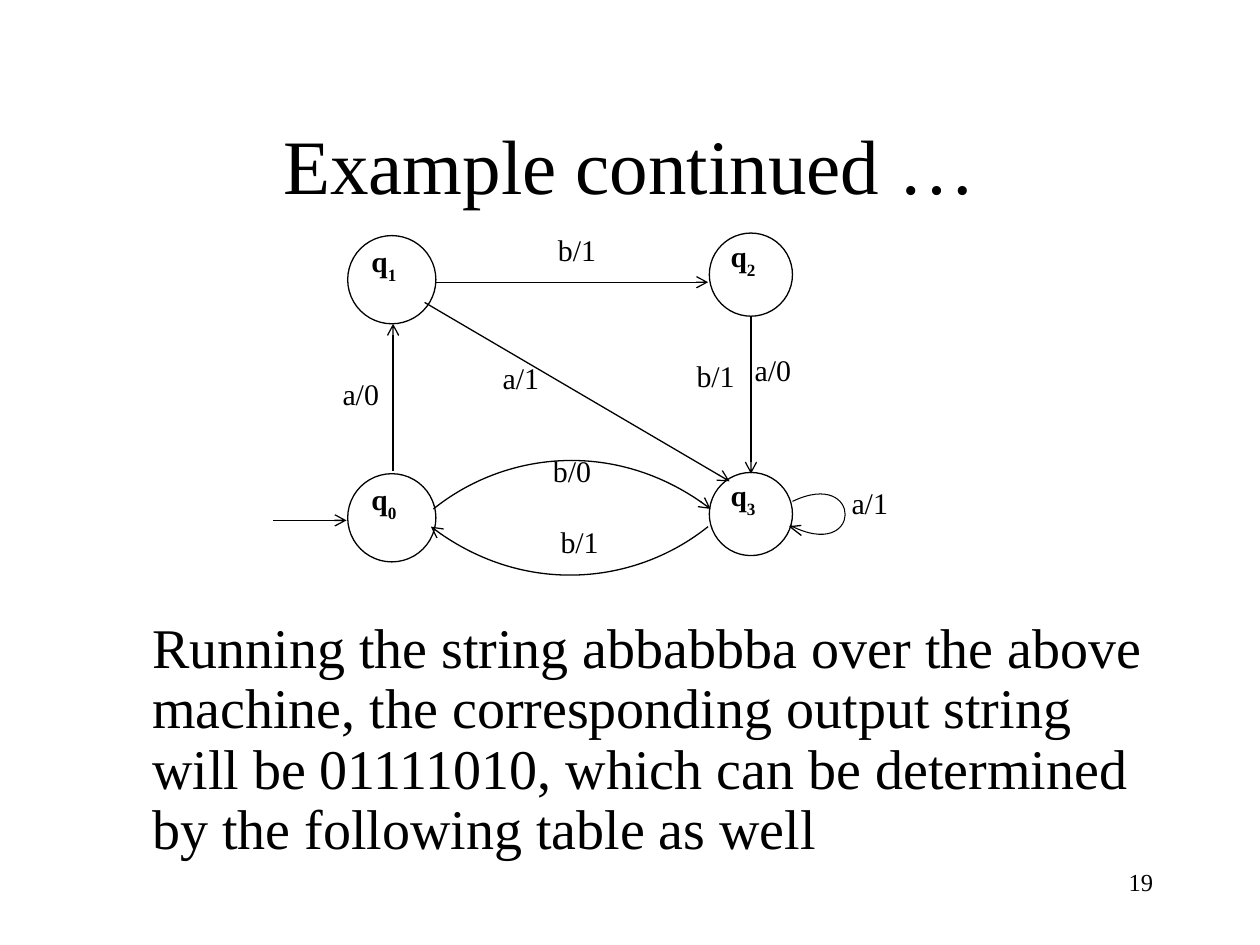
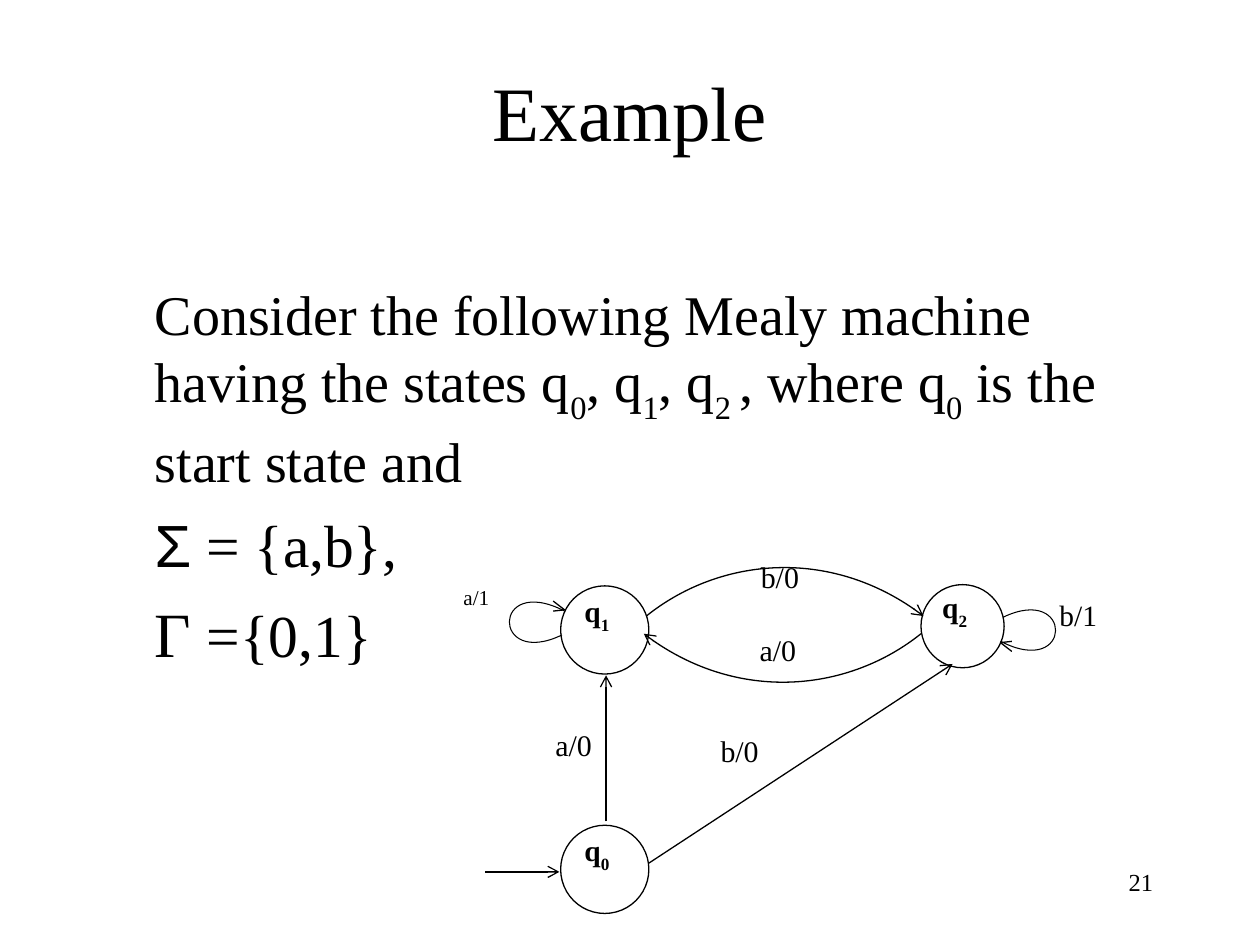
from lxml import etree
from pptx import Presentation
from pptx.dml.color import RGBColor
from pptx.enum.shapes import MSO_CONNECTOR, MSO_SHAPE
from pptx.enum.text import MSO_ANCHOR, PP_ALIGN
from pptx.oxml.ns import qn
from pptx.util import Inches, Pt

LINE, OVAL = MSO_CONNECTOR.STRAIGHT, MSO_SHAPE.OVAL
LEFT, MID, RIGHT = PP_ALIGN.LEFT, PP_ALIGN.CENTER, PP_ALIGN.RIGHT
TOP, CENTRE = MSO_ANCHOR.TOP, MSO_ANCHOR.MIDDLE
SERIF, SANS = "Times New Roman", "Arial"
INK, PAPER = "000000", "FFFFFF"
COLS, ROWS = 10, 7.5
CELL = Inches(1)
BIG, SMALL = 0.7, 0.66
SUB = {"sub": True}


def grid(*cells):
    """Turn columns or rows of the slide grid into lengths."""
    return [round(n * CELL) for n in cells]


def hue(code):
    return RGBColor.from_string(code)


def text(slide, box, paras, size=32, font=SERIF, bold=False, align=LEFT,
         anchor=TOP, space=1.0, indent=0, gap=0):
    """Write paragraphs; each is a string or a list of (words, format) runs."""
    frame = slide.shapes.add_textbox(*grid(*box)).text_frame
    frame.word_wrap = True
    frame.vertical_anchor = anchor
    for i, runs in enumerate(paras):
        para = frame.add_paragraph() if i else frame.paragraphs[0]
        para.alignment, para.line_spacing = align, space
        if i:
            para.space_before = Pt(gap)
        if indent:
            para._p.get_or_add_pPr().set("marL", str(grid(indent)[0]))
        for words, form in [(runs, {})] if isinstance(runs, str) else runs:
            run = para.add_run()
            run.text = words
            run.font.size = Pt(form.get("size", size))
            run.font.name = form.get("font", font)
            run.font.bold = bold
            run.font.color.rgb = hue(INK)
            if form.get("sub"):
                run._r.get_or_add_rPr().set("baseline", "-30000")


def stroke(shape, width=0.75, arrow=False):
    shape.line.color.rgb = hue(INK)
    shape.line.width = Pt(width)
    if arrow:
        etree.SubElement(shape.line._get_or_add_ln(), qn("a:tailEnd"), type="arrow")


def trace(slide, start, steps, bend=False, **form):
    """Draw an open outline; steps are offsets from start, bend makes one Bezier."""
    x, y = start
    pen = slide.shapes.build_freeform(*grid(x, y))
    pen.add_line_segments([grid(x + dx, y + dy) for dx, dy in steps], close=False)
    shape = pen.convert_to_shape()
    shape.shadow.inherit = False
    shape.fill.background()
    stroke(shape, **form)
    if bend:
        route = next(shape._element.iter(qn("a:moveTo"))).getparent()
        curve = etree.SubElement(route, qn("a:cubicBezTo"))
        for part in route.findall(qn("a:lnTo")):
            curve.append(part[0])
            route.remove(part)


def state(slide, x, y, size, index):
    """Draw a circle centred at x, y and name it."""
    ring = slide.shapes.add_shape(OVAL, *grid(x - size / 2, y - size / 2, size, size))
    ring.shadow.inherit = False
    ring.fill.solid()
    ring.fill.fore_color.rgb = hue(PAPER)
    stroke(ring)
    text(slide, (x - 0.26, y - 0.32, 0.96, 0.45), [[("q", {}), (index, SUB)]],
         size=16.8, bold=True, space=0.8)


def arrow(slide, x1, y1, x2, y2):
    edge = slide.shapes.add_connector(LINE, *grid(x1, y1, x2, y2))
    stroke(edge, arrow=True)
    etree.SubElement(edge._element.spPr, qn("a:effectLst"))


def arcs(slide, x, y):
    """Draw the two bowed arrows that join a pair of states in both directions."""
    bow = [(0.56, -0.45), (1.47, -0.56), (2.2, 0)]
    trace(slide, (x, y), bow, bend=True, arrow=True)
    trace(slide, (x + 2.18, y + 0.14), [(-dx, -dy) for dx, dy in bow],
          bend=True, arrow=True)


def loop(slide, x, y, side=1):
    """Draw a self-loop and its barbs; side -1 turns it to the left."""
    def turn(*pairs):
        return [(side * dx, side * dy) for dx, dy in pairs]

    trace(slide, (x, y), turn((0.56, -0.27), (0.56, 0.49), (-0.02, 0.19)),
          bend=True, width=0.6)
    trace(slide, (x + side * 0.07, y + side * 0.27), turn((-0.09, -0.07), (0, -0.08)))


def label(slide, x, y, words, size=17.1):
    text(slide, (x, y, 1.01, 0.41), [words], size=size, space=0.8)


def page(deck, title, top, number):
    slide = deck.slides.add_slide(deck.slide_layouts[6])
    text(slide, (0.75, top, 8.5, 1.25), [title], size=44, align=MID, anchor=CENTRE)
    text(slide, (7.17, 6.83, 2.08, 0.5), [number], size=14, align=RIGHT)
    return slide


def draw(slide, states, edges, labels):
    for spot in states:
        state(slide, *spot)
    for edge in edges:
        arrow(slide, *edge)
    for mark in labels:
        label(slide, *mark)


def run_page(deck):
    slide = page(deck, "Example continued …", 0.67, "19")
    text(slide, (0.73, 4.87, 8.5, 2.1), [
        "Running the string abbabbba over the above machine, the corresponding "
        "output string will be 01111010, which can be determined by the "
        "following table as well"], space=0.9, indent=0.38)
    left, right = 3.11, 5.96
    draw(slide,
         [(left, 4.11, BIG, "0"), (left, 2.22, BIG, "1"),
          (right, 2.18, SMALL, "2"), (right, 4.08, SMALL, "3")],
         [(2.17, 4.13, 2.75, 4.13), (3.12, 3.74, 3.12, 2.57),
          (3.46, 2.24, 5.62, 2.24), (right, 2.51, right, 3.76),
          (3.37, 2.4, 5.79, 3.82)],
         [(2.62, 2.99, "a/0"), (4.33, 1.84, "b/1"), (3.89, 2.86, "a/1"),
          (5.43, 2.84, "b/1"), (5.89, 2.8, "a/0"), (4.29, 3.6, "b/0"),
          (4.35, 4.16, "b/1"), (6.66, 3.85, "a/1")])
    arcs(slide, 3.44, 4.04)
    loop(slide, 6.29, 3.98)


def mealy_page(deck):
    slide = page(deck, "Example", 0.25, "21")
    text(slide, (0.75, 2.17, 8.5, 4.5), [
        [("Consider the following Mealy machine having the states q", {}),
         ("0", SUB), (", q", {}), ("1", SUB), (", q", {}), ("2 ", SUB),
         (", where q", {}), ("0", SUB), (" is the start state and", {})],
        [("Σ", {"size": 34, "font": SANS}), (" = {a,b},", {"size": 34})],
        [("Γ ", {"size": 36}), ("={0,1}", {"size": 34})],
    ], indent=0.38, gap=8.5)
    left, right = 4.8, 7.64
    draw(slide,
         [(left, 6.9, BIG, "0"), (left, 5, BIG, "1"), (right, 4.97, SMALL, "2")],
         [(3.85, 6.92, 4.44, 6.92), (4.81, 6.52, 4.81, 5.36),
          (5.15, 6.85, 7.56, 5.27)],
         [(4.31, 5.77, "a/0"), (5.62, 5.82, "b/0"), (5.94, 4.44, "b/0"),
          (5.93, 5.02, "a/0"), (8.31, 4.74, "b/1", 16.8), (3.58, 4.63, "a/1", 12.1)])
    arcs(slide, 5.13, 4.89)
    loop(slide, 7.96, 4.9)
    loop(slide, 4.46, 5.04, side=-1)


def main():
    deck = Presentation()
    deck.slide_width, deck.slide_height = grid(COLS, ROWS)
    run_page(deck)
    mealy_page(deck)
    deck.save("out.pptx")


if __name__ == "__main__":
    main()
